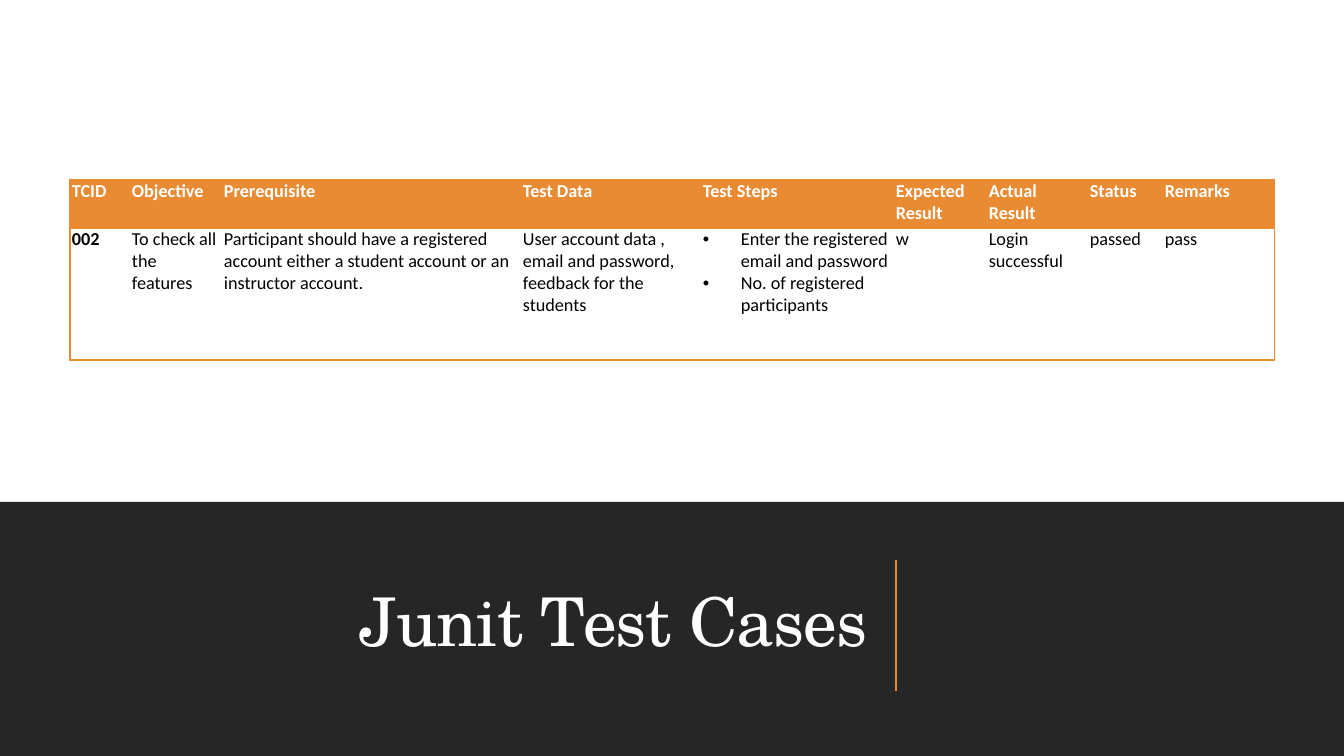
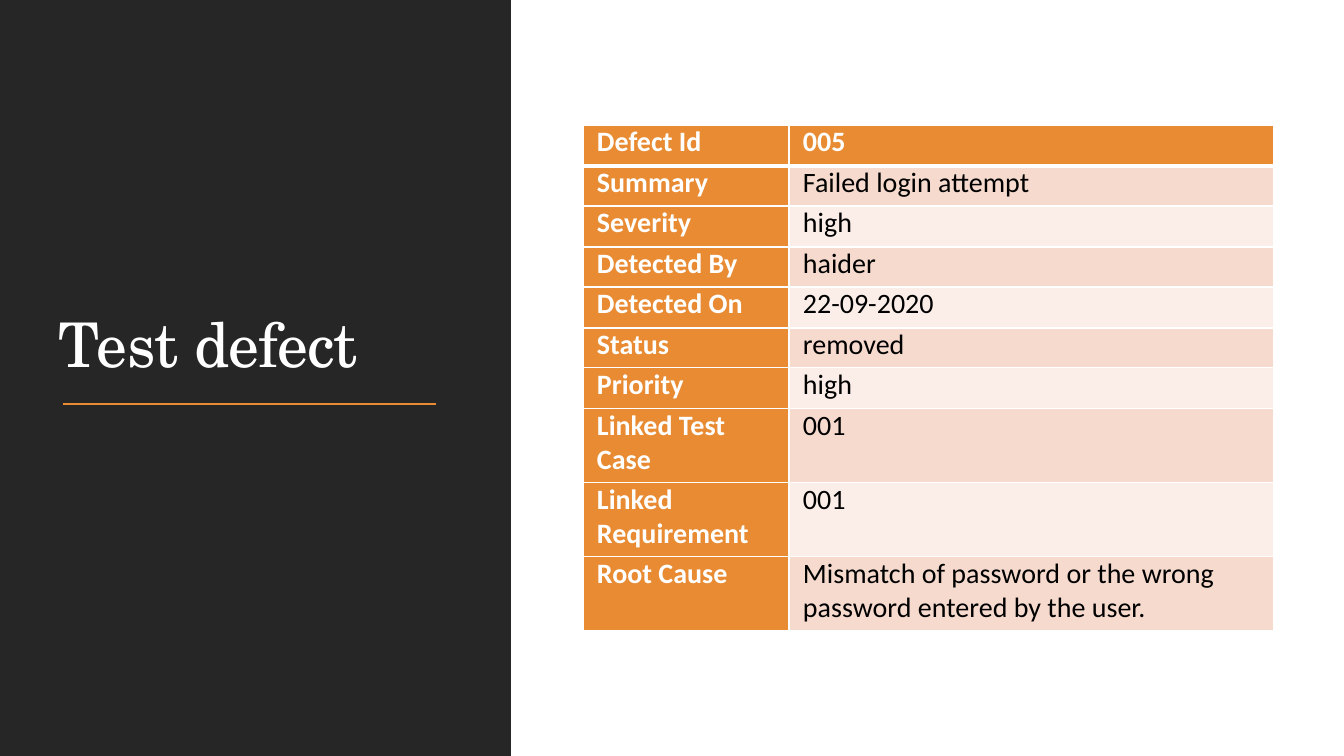
"""Build two test report slides with dark title bands and tables."""
from dataclasses import dataclass
from typing import Any

import lxml.etree
import pptx
import pptx.dml.color
import pptx.enum.shapes
import pptx.enum.text
import pptx.oxml.ns
import pptx.shapes.autoshape
import pptx.slide
import pptx.table
import pptx.text.text
import pptx.util

EMU_PER_PX = 914400 / 100.8
SLIDE_WIDTH, SLIDE_HEIGHT = 1344, 756
DARK, ORANGE, WHITE, BLACK = "262626", "E88B33", "FFFFFF", "000000"
STRIPES = ("FBEEE8", "F6DACE")
TITLE_FONT, BODY_FONT = "TeX Gyre Schola", "Calibri"
NO_STYLE = "{2D5ABB26-0587-4C30-8999-92F81FD0307C}"
SIDES = ("L", "R", "T", "B")
BULLET_INDENT = 38


@dataclass(frozen=True)
class Box:
    left: int
    top: int
    width: int
    height: int


@dataclass(frozen=True)
class TitlePanel:
    text: str
    size: int
    band: Box
    title: Box
    rule: tuple[int, int, int, int]
    align: pptx.enum.text.PP_ALIGN
    anchor: pptx.enum.text.MSO_ANCHOR


@dataclass(frozen=True)
class CellLook:
    text_color: str
    bold: bool
    fill: str | None
    borders: dict[str, tuple[str, int]]


@dataclass(frozen=True)
class Grid:
    left: int
    top: int
    columns: list[int]
    rows: list[int]
    size: int
    inset: int


CASES_PANEL = TitlePanel(
    "Junit Test Cases", 48, Box(0, 502, SLIDE_WIDTH, 254), Box(70, 540, 808, 170),
    (896, 691, 896, 560), pptx.enum.text.PP_ALIGN.RIGHT, pptx.enum.text.MSO_ANCHOR.MIDDLE)
DEFECT_PANEL = TitlePanel(
    "Test defect", 44, Box(0, 0, 511, SLIDE_HEIGHT), Box(48, 71, 403, 315),
    (63, 404, 436, 404), pptx.enum.text.PP_ALIGN.LEFT, pptx.enum.text.MSO_ANCHOR.BOTTOM)

CASES_GRID = Grid(70, 180, [60, 92, 299, 180, 193, 93, 101, 75, 89, 23], [48, 132], 13, 2)
DEFECT_GRID = Grid(583, 125, [206, 485], [41, 40] * 3 + [41] + [74] * 3, 20, 14)

CASES = [
    ["TCID", "Objective", "Prerequisite", "Test Data", "Test Steps",
     "Expected Result", "Actual Result", "Status", "Remarks", ""],
    ["002", "To check all the features",
     "Participant should have a registered account either a student account "
     "or an instructor account.",
     "User account data , email and password, feedback for the students",
     ["Enter the registered email and password", "No. of registered participants"],
     "w", "Login successful", "passed", "pass", ""],
]
DEFECT = [
    ["Defect Id", "005"],
    ["Summary", "Failed login attempt"],
    ["Severity", "high"],
    ["Detected By", "haider"],
    ["Detected On", "22-09-2020"],
    ["Status", "removed"],
    ["Priority", "high"],
    ["Linked Test Case", "001"],
    ["Linked Requirement", "001"],
    ["Root Cause", "Mismatch of password or the wrong password entered by the user."],
]


def px(length: int) -> pptx.util.Emu:
    return pptx.util.Emu(round(length * EMU_PER_PX))


def color(value: str) -> pptx.dml.color.RGBColor:
    return pptx.dml.color.RGBColor.from_string(value)


def apply(target: Any, values: dict[str, Any]) -> None:
    for name, value in values.items():
        setattr(target, name, value)


def add_child(parent: Any, tag: str, **attributes: str) -> Any:
    return lxml.etree.SubElement(parent, pptx.oxml.ns.qn(tag), attributes)


def place(shape: Any, box: Box) -> None:
    apply(shape, {"left": px(box.left), "top": px(box.top),
                  "width": px(box.width), "height": px(box.height)})


def format_font(font: pptx.text.text.Font, name: str, size: int, text_color: str,
                bold: bool = False) -> None:
    apply(font, {"name": name, "size": pptx.util.Pt(size), "bold": bold})
    font.color.rgb = color(text_color)


def add_band(slide: pptx.slide.Slide, box: Box) -> None:
    band = slide.shapes.add_shape(pptx.enum.shapes.MSO_SHAPE.RECTANGLE, 0, 0, 0, 0)
    place(band, box)
    band.shadow.inherit = False
    band.fill.solid()
    band.fill.fore_color.rgb = color(DARK)
    band.line.fill.background()
    slide.shapes.element.insert(2, band.element)


def add_rule(slide: pptx.slide.Slide, ends: tuple[int, int, int, int]) -> None:
    rule = slide.shapes.add_connector(
        pptx.enum.shapes.MSO_CONNECTOR.STRAIGHT, *(px(end) for end in ends))
    rule.line.color.rgb = color(ORANGE)
    rule.line.width = pptx.util.Pt(1.5)
    add_child(rule.element.spPr, "a:effectLst")


def add_titled_slide(presentation: Any, panel: TitlePanel) -> pptx.slide.Slide:
    slide = presentation.slides.add_slide(presentation.slide_layouts[5])
    add_band(slide, panel.band)
    title = slide.shapes.title
    place(title, panel.title)
    title.text = panel.text
    apply(title.text_frame, {"vertical_anchor": panel.anchor, "word_wrap": True,
                             "auto_size": pptx.enum.text.MSO_AUTO_SIZE.NONE})
    paragraph = title.text_frame.paragraphs[0]
    apply(paragraph, {"alignment": panel.align, "line_spacing": 0.9})
    run = paragraph.runs[0]
    format_font(run.font, TITLE_FONT, panel.size, WHITE)
    run.font.element.set("spc", "-50") if hasattr(run.font, "element") else \
        run._r.get_or_add_rPr().set("spc", "-50")
    add_rule(slide, panel.rule)
    return slide


def set_borders(cell: Any, borders: dict[str, tuple[str, int]]) -> None:
    properties = cell._tc.get_or_add_tcPr()
    for side in SIDES:
        if side in borders:
            value, width = borders[side]
            line = add_child(properties, f"a:ln{side}", w=str(pptx.util.Pt(width)))
            add_child(add_child(line, "a:solidFill"), "a:srgbClr", val=value)
        else:
            add_child(add_child(properties, f"a:ln{side}", w="0"), "a:noFill")


def add_bullet(paragraph: Any) -> None:
    properties = paragraph._p.get_or_add_pPr()
    apply_indent = {"marL": px(BULLET_INDENT), "indent": -px(BULLET_INDENT)}
    for name, value in apply_indent.items():
        properties.set(name, str(int(value)))
    add_child(properties, "a:buFont", typeface="Arial")
    add_child(properties, "a:buChar", char="•")


def fill_cell(cell: Any, content: str | list[str], look: CellLook, grid: Grid) -> None:
    bulleted = isinstance(content, list)
    cell.text = "\n".join(content) if bulleted else content
    apply(cell, {"margin_left": px(grid.inset), "margin_right": px(grid.inset),
                 "margin_top": 0, "margin_bottom": 0})
    set_borders(cell, look.borders)
    if look.fill:
        cell.fill.solid()
        cell.fill.fore_color.rgb = color(look.fill)
    else:
        cell.fill.background()
    for paragraph in cell.text_frame.paragraphs:
        format_font(paragraph.font, BODY_FONT, grid.size, look.text_color, look.bold)
        for run in paragraph.runs:
            format_font(run.font, BODY_FONT, grid.size, look.text_color, look.bold)
        if bulleted:
            add_bullet(paragraph)


def case_look(row: int, column: int) -> CellLook:
    header = row == 0
    sides = ["T"] if header else ["T", "B"]
    if column == 0:
        sides.append("L")
    if column == len(CASES_GRID.columns) - 1:
        sides.append("R")
    return CellLook(WHITE if header else BLACK, header or column == 0,
                    ORANGE if header else None, {side: (ORANGE, 1) for side in sides})


def defect_look(row: int, column: int) -> CellLook:
    heading = row == 0 or column == 0
    borders = {side: (WHITE, 1) for side in SIDES}
    if row == 0:
        borders["B"] = (WHITE, 3)
    elif row == 1:
        borders["T"] = (WHITE, 3)
    return CellLook(WHITE if heading else BLACK, heading,
                    ORANGE if heading else STRIPES[row % 2], borders)


def add_grid(slide: pptx.slide.Slide, grid: Grid, contents: list, look_at: Any) -> None:
    frame = slide.shapes.add_table(
        len(grid.rows), len(grid.columns), px(grid.left), px(grid.top),
        px(sum(grid.columns)), px(sum(grid.rows)))
    next(frame.element.iter(pptx.oxml.ns.qn("a:tableStyleId"))).text = NO_STYLE
    table = frame.table
    for column, width in zip(table.columns, grid.columns):
        column.width = px(width)
    for row, height in zip(table.rows, grid.rows):
        row.height = px(height)
    for row, values in enumerate(contents):
        for column, content in enumerate(values):
            fill_cell(table.cell(row, column), content, look_at(row, column), grid)


def main() -> None:
    presentation = pptx.Presentation()
    apply(presentation, {"slide_width": px(SLIDE_WIDTH), "slide_height": px(SLIDE_HEIGHT)})
    add_grid(add_titled_slide(presentation, CASES_PANEL), CASES_GRID, CASES, case_look)
    add_grid(add_titled_slide(presentation, DEFECT_PANEL), DEFECT_GRID, DEFECT, defect_look)
    presentation.save("out.pptx")


if __name__ == "__main__":
    main()
